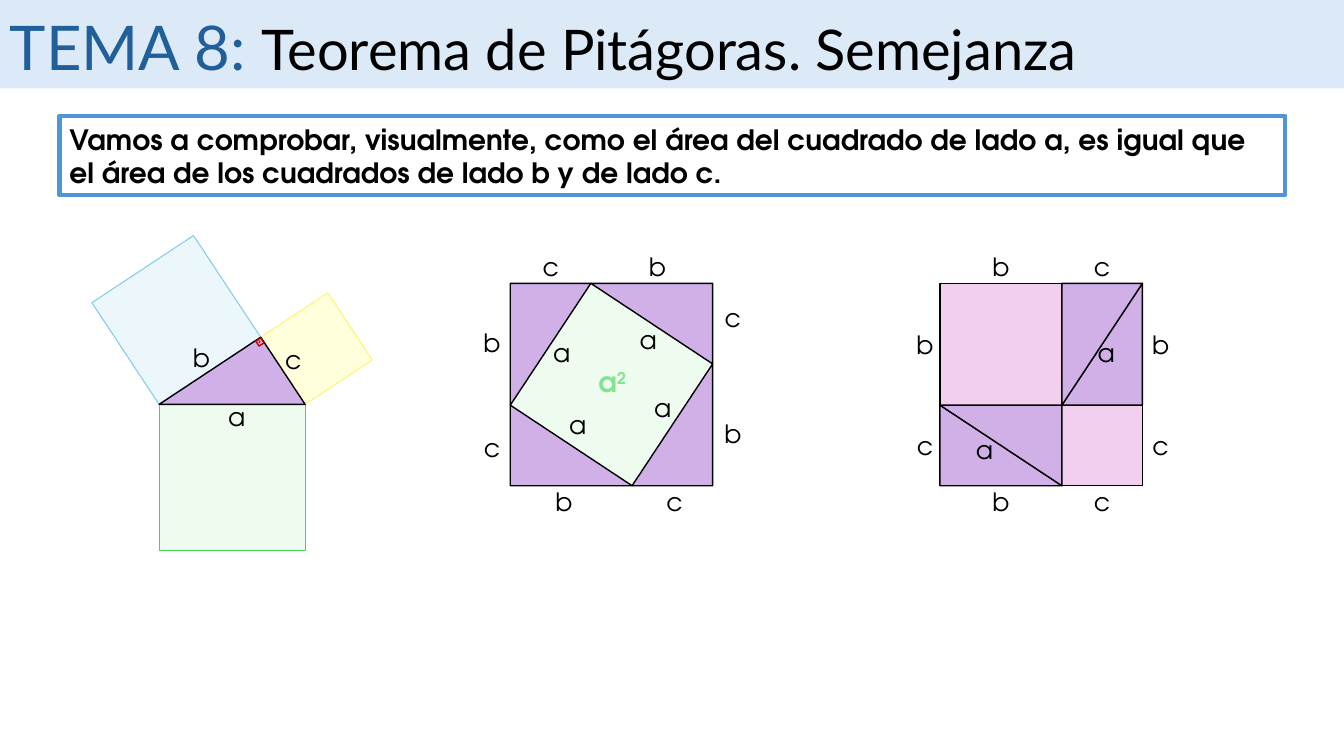
from dataclasses import dataclass
from math import atan2, cos, degrees, hypot, sin

from pptx import Presentation
from pptx.dml.color import RGBColor
from pptx.enum.shapes import MSO_SHAPE as Preset
from pptx.enum.text import MSO_AUTO_SIZE as AutoSize, PP_ALIGN as Align
from pptx.util import Cm, Pt


@dataclass(frozen=True)
class Theme:
    heading_font: str = "Lato"
    body_font: str = "TeX Gyre Adventor"
    topic_size: int = 44
    title_size: int = 40
    notice_size: int = 20
    label_size: int = 18
    mark_size: int = 14
    black: str = "000000"
    band: str = "DCEAF7"
    topic: str = "215F9A"
    frame: str = "4E95D9"
    purple: str = "D0B0E7"
    pink: str = "F2CFEE"
    green: str = "EEFBEF"
    green_line: str = "47D45A"
    green_text: str = "84E291"
    gray_line: str = "E8E8E8"
    blue: str = "ECF7FC"
    blue_line: str = "83CBEB"
    yellow: str = "FFFFDB"
    yellow_line: str = "FCF674"
    red: str = "C00000"


THEME = Theme()

# Sides of the right triangle, in centimetres
LEG_B, LEG_C = 3.07, 2.03
HYPOTENUSE = hypot(LEG_B, LEG_C)
SIDE = LEG_B + LEG_C
TILT = atan2(LEG_C, LEG_B)


def add_text(slide, box, runs, size=THEME.label_size, font=THEME.body_font,
             color=THEME.black, bold=False, align=Align.LEFT, wrap=True):
    """Each run is a text and a dict that overrides size, color or baseline."""
    text_box = slide.shapes.add_textbox(*(Cm(length) for length in box))
    frame = text_box.text_frame
    frame.word_wrap = wrap
    frame.auto_size = AutoSize.SHAPE_TO_FIT_TEXT
    paragraph = frame.paragraphs[0]
    paragraph.alignment = align
    for text, changes in runs:
        run = paragraph.add_run()
        run.text = text
        run.font.name = font
        run.font.size = Pt(changes.get("size", size))
        run.font.bold = bold
        run.font.color.rgb = RGBColor.from_string(changes.get("color", color))
        if "baseline" in changes:
            run.font._element.set("baseline", str(changes["baseline"] * 1000))


def add_figure(slide, preset, box, fill=None, line=None, weight=1, rotation=0):
    shape = slide.shapes.add_shape(preset, *(Cm(length) for length in box))
    shape.shadow.inherit = False
    shape.rotation = rotation
    if fill:
        shape.fill.solid()
        shape.fill.fore_color.rgb = RGBColor.from_string(fill)
    else:
        shape.fill.background()
    if line:
        shape.line.color.rgb = RGBColor.from_string(line)
        shape.line.width = Pt(weight)
    else:
        shape.line.fill.background()
    return shape


def centred(x, y, width, height):
    return x - width / 2, y - height / 2, width, height


def add_square(slide, x, y, side, fill, line, weight=0.75, rotation=0):
    add_figure(slide, Preset.RECTANGLE, centred(x, y, side, side),
               fill, line, weight, rotation)


def add_triangle(slide, x, y, rotation):
    """Right triangle; x, y is the middle of its hypotenuse."""
    triangle = add_figure(slide, Preset.ISOSCELES_TRIANGLE,
                          centred(x, y, LEG_B, LEG_C),
                          THEME.purple, THEME.black, rotation=rotation)
    triangle.adjustments[0] = 0


def add_labels(slide, left, top, labels):
    for letter, x, y in labels:
        add_text(slide, centred(left + x, top + y, 1.27, 1.02),
                 [(letter, {})], align=Align.CENTER)


def add_title(slide, left, top, width, height):
    add_figure(slide, Preset.RECTANGLE, (left, top, width, height), THEME.band)
    add_text(slide, (left, top + 0.1, 30.89, 2.14),
             [("TEMA 8: ", {"size": THEME.topic_size, "color": THEME.topic}),
              ("Teorema de Pitágoras. Semejanza", {})],
             size=THEME.title_size, font=THEME.heading_font)


def add_notice(slide, left, top, width, height):
    add_figure(slide, Preset.RECTANGLE, (left, top, width, height),
               line=THEME.frame, weight=3)
    add_text(slide, (left, top + 0.03, width, height - 0.05),
             [("Vamos a comprobar, visualmente, como el área del cuadrado de "
               "lado a, es igual que el área de los cuadrados de lado b y de "
               "lado c.", {})], size=THEME.notice_size, bold=True)


def add_theorem(slide, left, top):
    """left, top is the upper left corner of the square on side a."""
    tilt = -degrees(TILT)
    apex_x = left + LEG_B * cos(TILT)
    apex_y = top - LEG_B * sin(TILT)
    right = left + HYPOTENUSE

    # Squares on the three sides
    half_b, half_c = LEG_B / 2, LEG_C / 2
    add_square(slide, (apex_x + right) / 2 + half_c * cos(TILT),
               (apex_y + top) / 2 - half_c * sin(TILT),
               LEG_C, THEME.yellow, THEME.yellow_line, rotation=tilt)
    add_square(slide, left + HYPOTENUSE / 2, top + HYPOTENUSE / 2,
               HYPOTENUSE, THEME.green, THEME.green_line)
    add_square(slide, (left + apex_x) / 2 - half_b * sin(TILT),
               (top + apex_y) / 2 - half_b * cos(TILT),
               LEG_B, THEME.blue, THEME.blue_line, rotation=tilt)

    # Triangle with its right angle mark
    add_triangle(slide, left + HYPOTENUSE / 2, top, 180 + tilt)
    add_square(slide, left + 2.54, top - 1.57, 0.15, None, THEME.red, 1, 57)
    add_text(slide, centred(left + 2.53, top - 1.73, 0.13, 0.86), [(".", {})],
             size=THEME.mark_size, color=THEME.red, align=Align.CENTER,
             wrap=False)
    add_labels(slide, left, top,
               [("a", 1.96, 0.3), ("b", 1.07, -1.17), ("c", 3.38, -1.12)])


def add_inscribed_square(slide, left, top):
    middle_x, middle_y = left + SIDE / 2, top + SIDE / 2
    add_square(slide, middle_x, middle_y, SIDE, THEME.pink, THEME.black, 1)
    add_square(slide, middle_x, middle_y, HYPOTENUSE,
               THEME.green, THEME.gray_line, rotation=degrees(TILT))

    # Four triangles, each a quarter turn from the one before
    x, y = -LEG_C / 2, LEG_B / 2
    for quarter in range(4):
        add_triangle(slide, middle_x + x, middle_y + y, 90 * quarter)
        x, y = -y, x

    add_labels(slide, left, top, [
        ("c", 1.02, -0.43), ("b", 3.71, -0.43),
        ("c", 5.61, 0.86), ("b", 5.61, 3.78),
        ("b", 1.35, 5.49), ("c", 4.14, 5.49),
        ("b", -0.46, 1.5), ("c", -0.46, 4.14),
        ("a", 1.3, 1.75), ("a", 3.48, 1.42),
        ("a", 3.84, 3.12), ("a", 1.7, 3.56)])
    add_text(slide, centred(left + 2.57, top + 2.49, 1.27, 1.12),
             [("a", {}), ("2", {"baseline": 30})], size=THEME.notice_size,
             color=THEME.green_text, bold=True, align=Align.CENTER)


def add_split_square(slide, left, top):
    add_square(slide, left + SIDE / 2, top + SIDE / 2, SIDE,
               THEME.pink, THEME.black, 1)
    near, far = LEG_B / 2, LEG_B + LEG_C / 2

    # Two rectangles, each made of two triangles
    for x, y, rotations in ((far, near, (270, 90)), (near, far, (0, 180))):
        for rotation in rotations:
            add_triangle(slide, left + x, top + y, rotation)

    for letter, along in (("b", near), ("c", far)):
        add_labels(slide, left, top, [
            (letter, along, -0.43), (letter, along, 5.49),
            (letter, -0.38, along), (letter, 5.56, along)])
    add_labels(slide, left, top, [("a", 1.12, 4.19), ("a", 4.19, 1.75)])


def main():
    presentation = Presentation()
    presentation.slide_width, presentation.slide_height = Cm(33.87), Cm(19.05)
    slide = presentation.slides.add_slide(presentation.slide_layouts[6])
    add_title(slide, 0, 0, 33.87, 2.23)
    add_theorem(slide, 4.01, 10.19)
    add_notice(slide, 1.5, 2.92, 30.89, 2)
    add_split_square(slide, 23.69, 7.14)
    add_inscribed_square(slide, 12.86, 7.14)
    presentation.save("out.pptx")


if __name__ == "__main__":
    main()
